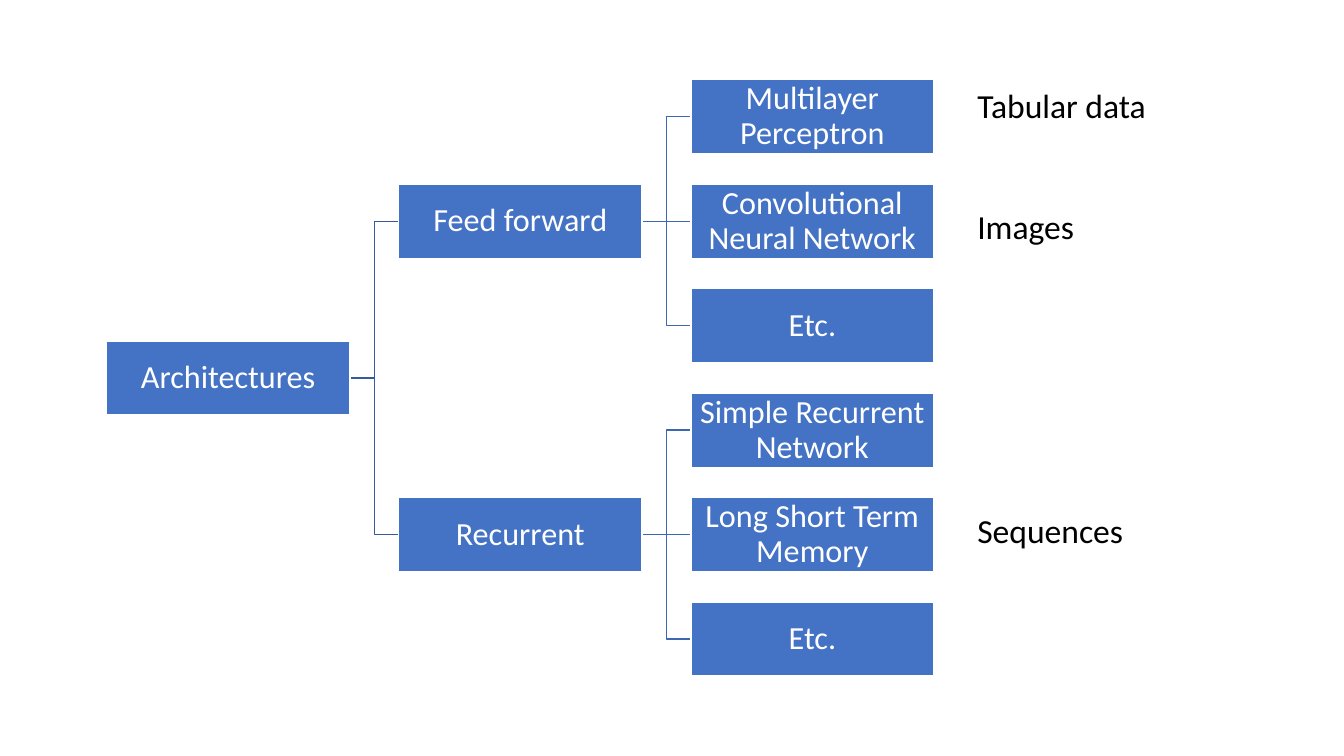
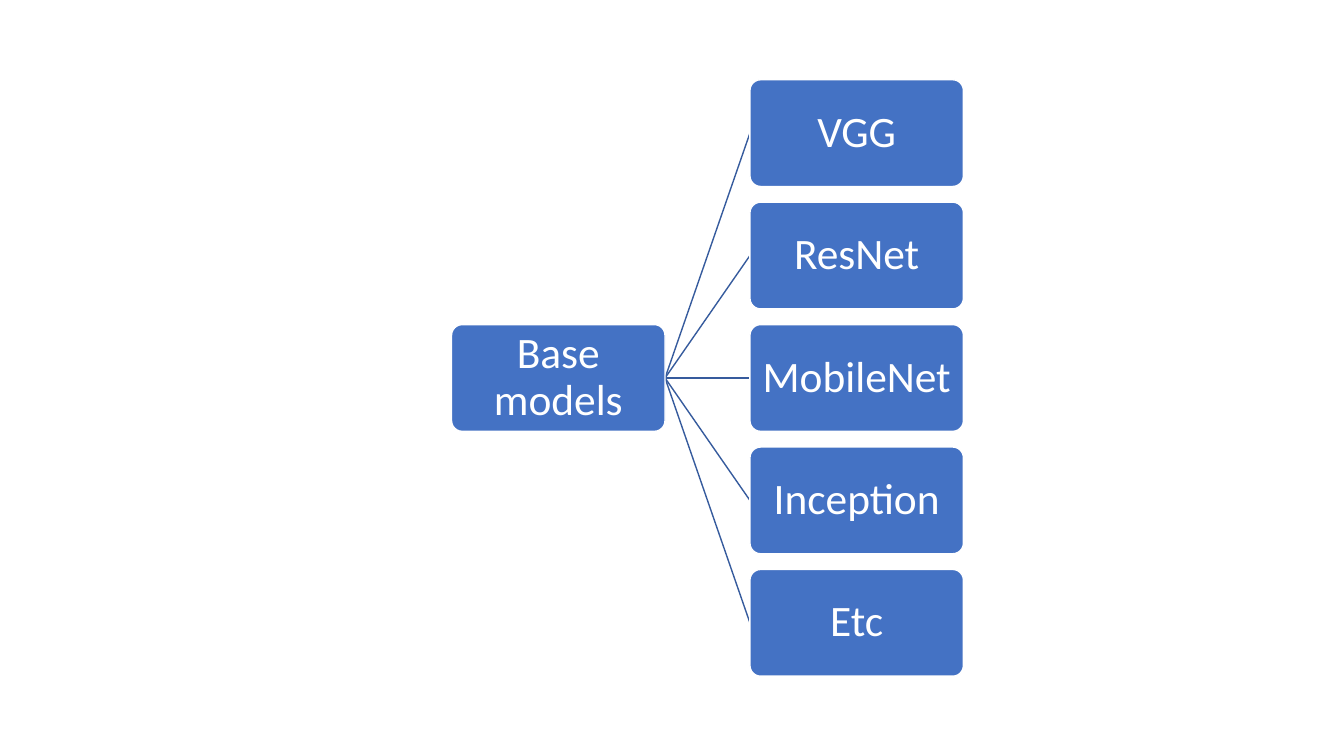
from dataclasses import dataclass

from lxml.etree import SubElement
from pptx import Presentation
from pptx.dml.color import RGBColor
from pptx.enum.shapes import MSO_CONNECTOR as CONN, MSO_SHAPE as SHAPE
from pptx.enum.text import MSO_ANCHOR, MSO_AUTO_SIZE, PP_ALIGN
from pptx.oxml.ns import qn
from pptx.util import Cm, Pt

FONT = "Calibri"
WHITE, BLACK, BLUE = "FFFFFF", "000000", "4472C4"
LINK_COLORS = ["365B9D", "3E67B2"]
RIGHT, LEFT = 3, 1

ARCHITECTURES = ("Architectures", [
    ("Feed forward", [
        ("Multilayer Perceptron", []),
        ("Convolutional Neural Network", []),
        ("Etc.", []),
    ]),
    ("Recurrent", [
        ("Simple Recurrent Network", []),
        ("Long Short Term Memory", []),
        ("Etc.", []),
    ]),
])
BASE_MODELS = ("Base models", [
    (name, []) for name in ("VGG", "ResNet", "MobileNet", "Inception", "Etc")
])
DATA_TYPES = [("Tabular data", 0), ("Images", 3.05), ("Sequences", 10.72)]


@dataclass
class TreeStyle:
    shape: int
    link: int
    width: float
    height: float
    column_step: float
    size: int


ELBOW_TREE = TreeStyle(SHAPE.RECTANGLE, CONN.ELBOW, 6.13, 1.87, 7.36, 23)
FAN_TREE = TreeStyle(SHAPE.ROUNDED_RECTANGLE, CONN.STRAIGHT, 5.38, 2.69, 7.52, 31)


def rgb(value):
    return RGBColor.from_string(value)


def add_text(p, text, size, color):
    r = p.add_run()
    r.text = text
    r.font.name = FONT
    r.font.size = Pt(size)
    r.font.color.rgb = rgb(color)


def add_node(slide, text, x, y, style):
    sp = slide.shapes.add_shape(
        style.shape, Cm(x), Cm(y), Cm(style.width), Cm(style.height))
    if style.shape == SHAPE.ROUNDED_RECTANGLE:
        sp.adjustments[0] = 0.1
    sp.shadow.inherit = False
    sp.fill.solid()
    sp.fill.fore_color.rgb = rgb(BLUE)
    sp.line.color.rgb = rgb(WHITE)
    sp.line.width = Pt(1)
    tf = sp.text_frame
    tf.word_wrap = True
    tf.vertical_anchor = MSO_ANCHOR.MIDDLE
    tf.margin_left = tf.margin_right = tf.margin_top = tf.margin_bottom = Cm(0.05)
    p = tf.paragraphs[0]
    p.alignment = PP_ALIGN.CENTER
    p.line_spacing = 0.9
    add_text(p, text, style.size, WHITE)
    return sp


def add_link(slide, parent, child, kind, color):
    link = slide.shapes.add_connector(kind, 0, 0, 0, 0)
    link.begin_connect(parent, RIGHT)
    link.end_connect(child, LEFT)
    link.line.color.rgb = rgb(color)
    link.line.width = Pt(1)
    SubElement(link._element.spPr, qn("a:effectLst"))
    slide.shapes._spTree.insert(2, link._element)


def count_leaves(node):
    return sum(map(count_leaves, node[1])) or 1


def add_tree(slide, node, style, x, y, height):
    leaves = count_leaves(node)
    row_step = (height - style.height) / (leaves - 1) if leaves > 1 else 0

    def place(node, depth, row):
        text, children = node
        rows = count_leaves(node)
        sp = add_node(slide, text, x + depth * style.column_step,
                      y + (row + (rows - 1) / 2) * row_step, style)
        for child in children:
            child_sp = place(child, depth + 1, row)
            level = abs(child_sp.top - sp.top) < Cm(0.01)
            kind = CONN.STRAIGHT if level else style.link
            add_link(slide, sp, child_sp, kind, LINK_COLORS[depth])
            row += count_leaves(child)
        return sp

    place(node, 0, 0)


def add_labels(slide, labels, x, y, width):
    for text, offset in labels:
        box = slide.shapes.add_textbox(Cm(x), Cm(y + offset), Cm(width), Cm(1.28))
        tf = box.text_frame
        tf.word_wrap = True
        tf.auto_size = MSO_AUTO_SIZE.SHAPE_TO_FIT_TEXT
        add_text(tf.paragraphs[0], text, 24, BLACK)


def main():
    prs = Presentation()
    prs.slide_width, prs.slide_height = Cm(33.87), Cm(19.05)
    blank = prs.slide_layouts[6]

    s = prs.slides.add_slide(blank)
    add_tree(s, ARCHITECTURES, ELBOW_TREE, 2.69, 2.01, 15.03)
    add_labels(s, DATA_TYPES, 24.38, 2.01, 8.8)

    s = prs.slides.add_slide(blank)
    add_tree(s, BASE_MODELS, FAN_TREE, 11.38, 2.01, 15.03)

    prs.save("out.pptx")


if __name__ == "__main__":
    main()
